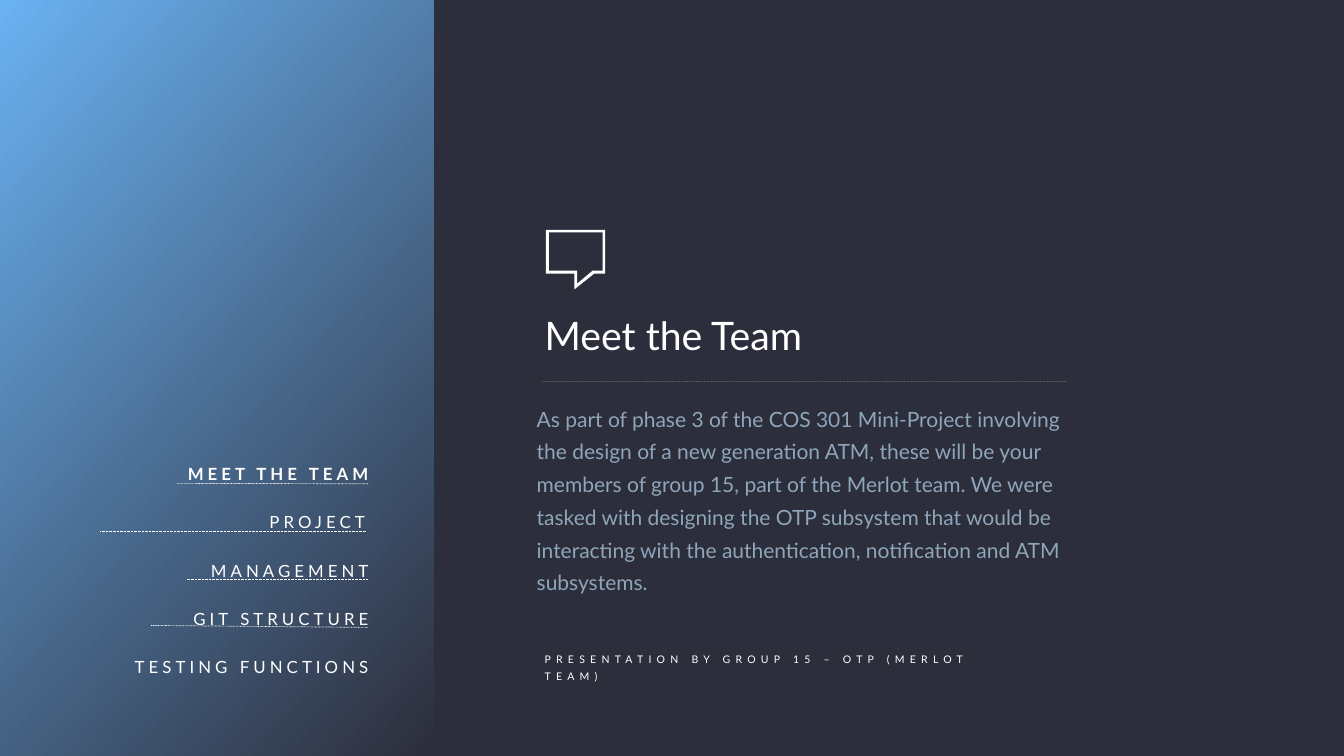
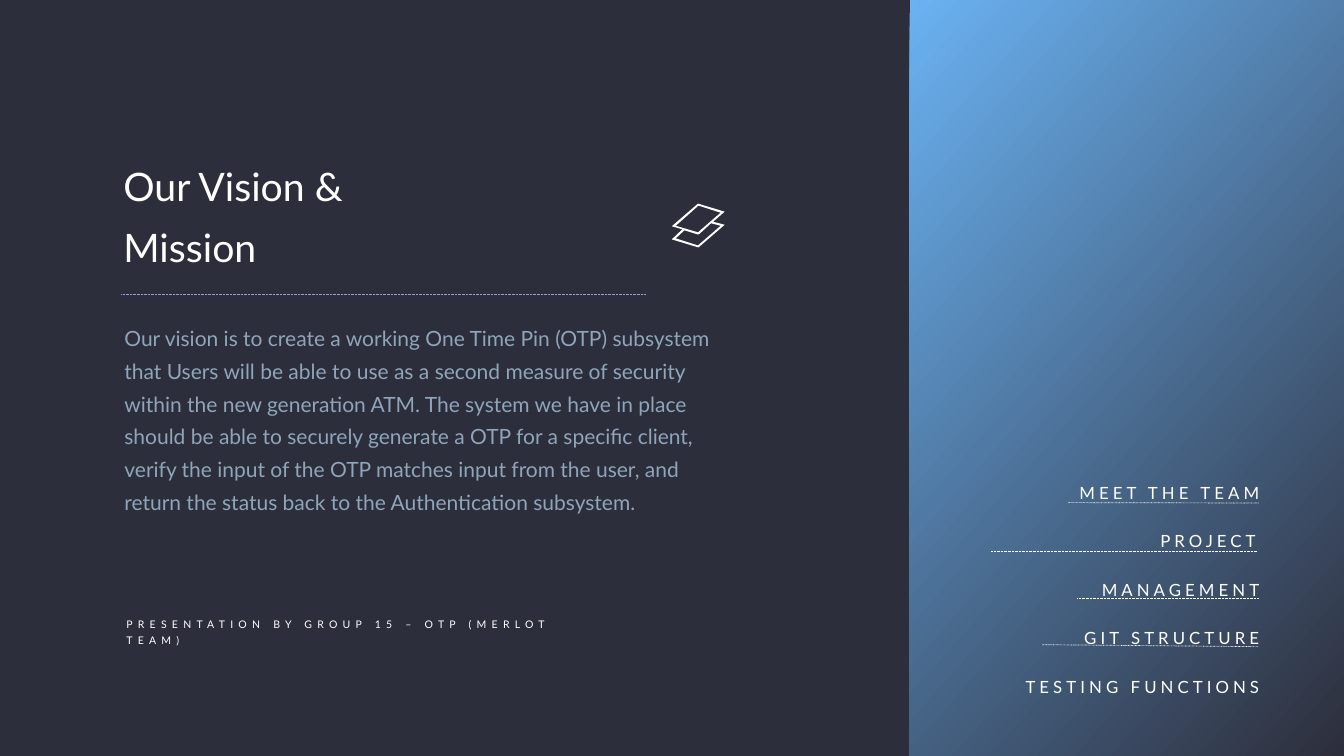
from lxml import etree
from pptx import Presentation
from pptx import util as u
from pptx.dml.color import RGBColor
from pptx.enum import dml, shapes, text
from pptx.oxml.ns import qn

Cm = u.Cm
COLORS = {"back": "2D2E3B", "sky": "6AB2F2", "white": "FFFFFF",
          "body": "8EA5BA", "violet": "949EDA"}
FONT = "Lato"
FOOTER = "PRESENTATION BY GROUP 15 – OTP (MERLOT TEAM)"
MENU = ["MEET THE TEAM", "PROJECT MANAGEMENT", "GIT STRUCTURE", "TESTING FUNCTIONS"]

# Menu underlines in cm, measured on the first slide: x1, y1, x2, y2
UNDERLINES = [(8.92, 24.36, 18.54, 24.38), (5.05, 26.8, 18.47, 26.8),
              (9.4, 29.21, 18.54, 29.21), (7.62, 31.52, 18.54, 31.62)]

# Icon outlines in hundredths of an inch, one list per contour
ICON_UNIT = Cm(0.0254)
BUBBLE = [
    [(1083, 456), (1083, 543), (1140, 543), (1140, 574), (1179, 543), (1201, 543), (1201, 456)],
    [(1196, 537), (1176, 537), (1145, 563), (1145, 537), (1089, 537), (1089, 461), (1196, 461)],
]
LAYERS = [
    [(1438, 420), (1385, 404), (1333, 449), (1354, 455), (1333, 475), (1386, 491),
     (1438, 446), (1415, 440)],
    [(1430, 448), (1385, 487), (1341, 473), (1358, 457), (1384, 465), (1386, 465),
     (1388, 464), (1411, 443)],
    [(1341, 448), (1386, 408), (1430, 422), (1385, 461)],
]

# Boxes are left, top, width, height in cm; rule is x1, y, x2
SLIDES = [
    {"title": "Meet the Team", "title_box": (27.3, 15.29, 13.61, 2.9), "title_spacing": 1.2,
     "body": "As part of phase 3 of the COS 301 Mini-Project involving the design of a new "
             "generation ATM, these will be your members of group 15, part of the Merlot team. "
             "We were tasked with designing the OTP subsystem that would be interacting with "
             "the authentication, notification and ATM subsystems.",
     "body_box": (26.9, 19.94, 26.8, 10.11), "footer_box": (27.3, 32.59, 24.2, 1.04),
     "rule": (27.3, 19.23, 53.77), "rule_color": "white", "rule_alpha": 24,
     "panel_left": -0.05, "menu_shift": (0, 0), "current": 0, "icon": BUBBLE},
    {"title": "Our Vision & Mission", "title_box": (6.07, 11.15, 17.8, 2.64),
     "title_spacing": 1.3,
     "body": "Our vision is to create a working One Time Pin (OTP) subsystem that Users will be "
             "able to use as a second measure of security within the new generation ATM. The "
             "system we have in place should be able to securely generate a OTP for a specific "
             "client, verify the input of the OTP matches input from the user, and return the "
             "status back to the Authentication subsystem.",
     "body_box": (6.12, 15.88, 30.23, 10.11), "footer_box": (6.22, 30.81, 24.2, 1.85),
     "rule": (6.12, 14.83, 32.56), "rule_color": "violet", "rule_alpha": 100,
     "panel_left": 45.85, "menu_shift": (44.9, 0.97), "current": None, "icon": LAYERS},
]


def add_text(parent, box, lines, size, color="white", spacing=1.3, tracking=0,
             anchor=text.MSO_ANCHOR.TOP, align=text.PP_ALIGN.LEFT):
    """Add a wrapped text box with one paragraph per line and return its frame."""
    tf = parent.add_textbox(*map(Cm, box)).text_frame
    tf.word_wrap = True
    tf.vertical_anchor = anchor
    tf.margin_left = tf.margin_right = tf.margin_top = tf.margin_bottom = Cm(0.15)
    tf.text = "\n".join(lines)
    for p in tf.paragraphs:
        p.alignment = align
        p.line_spacing = spacing
        r = p.runs[0]
        r.font.name = FONT
        r.font.size = u.Pt(size)
        r.font.color.rgb = RGBColor.from_string(COLORS[color])
        if tracking:
            r._r.get_or_add_rPr().set("spc", str(round(tracking * 100)))
    return tf


def add_dotted_line(parent, x1, y1, x2, y2, color="white", alpha=100):
    """Add a thin dotted line; alpha is its opacity in percent."""
    line = parent.add_connector(shapes.MSO_CONNECTOR.STRAIGHT, Cm(x1), Cm(y1), Cm(x2), Cm(y2))
    line.line.width = u.Pt(1)
    line.line.color.rgb = RGBColor.from_string(COLORS[color])
    line.line.dash_style = dml.MSO_LINE.ROUND_DOT
    sp_pr = line._element.spPr
    etree.SubElement(sp_pr, qn("a:effectLst"))
    if alpha < 100:
        rgb = sp_pr.find(".//" + qn("a:srgbClr"))
        etree.SubElement(rgb, qn("a:alpha")).set("val", str(alpha * 1000))


prs = Presentation()
prs.slide_width, prs.slide_height = Cm(67.74), Cm(38.1)

for d in SLIDES:
    s = prs.slides.add_slide(prs.slide_layouts[6])
    s.background.fill.solid()
    s.background.fill.fore_color.rgb = RGBColor.from_string(COLORS["back"])

    # Gradient side panel
    panel = s.shapes.add_shape(shapes.MSO_SHAPE.RECTANGLE, Cm(d["panel_left"]), Cm(-0.03),
                               Cm(21.89), Cm(38.15))
    panel.shadow.inherit = False
    panel.line.fill.background()
    panel.fill.gradient()
    panel.fill.gradient_angle = 318
    for stop, color, position in zip(panel.fill.gradient_stops, ("sky", "back"), (0, 1)):
        stop.color.rgb = RGBColor.from_string(COLORS[color])
        stop.position = position

    # Title, body and footer
    add_text(s.shapes, d["title_box"], [d["title"]], 56, spacing=d["title_spacing"],
             anchor=text.MSO_ANCHOR.BOTTOM)
    add_text(s.shapes, d["body_box"], [d["body"]], 30, "body")
    add_text(s.shapes, d["footer_box"], [FOOTER], 15, tracking=7.5)
    x1, y, x2 = d["rule"]
    add_dotted_line(s.shapes, x1, y, x2, y, d["rule_color"], d["rule_alpha"])

    # Icon
    first, *others = d["icon"]
    builder = s.shapes.build_freeform(*first[0], scale=ICON_UNIT)
    builder.add_line_segments(first[1:])
    for contour in others:
        builder.move_to(*contour[0])
        builder.add_line_segments(contour[1:])
    icon = builder.convert_to_shape()
    icon.shadow.inherit = False
    icon.line.fill.background()
    icon.fill.solid()
    icon.fill.fore_color.rgb = RGBColor.from_string(COLORS["white"])

    # Menu on the panel
    dx, dy = d["menu_shift"]
    menu = s.shapes.add_group_shape()
    tf = add_text(menu.shapes, (5.33 + dx, 21.79 + dy, 13.39, 9.7), MENU, 24, spacing=2.4,
                  tracking=5.8, align=text.PP_ALIGN.RIGHT)
    for i, p in enumerate(tf.paragraphs):
        p.runs[0].font.bold = i == d["current"]
    for x1, y1, x2, y2 in UNDERLINES:
        add_dotted_line(menu.shapes, x1 + dx, y1 + dy, x2 + dx, y2 + dy)

prs.save("out.pptx")
